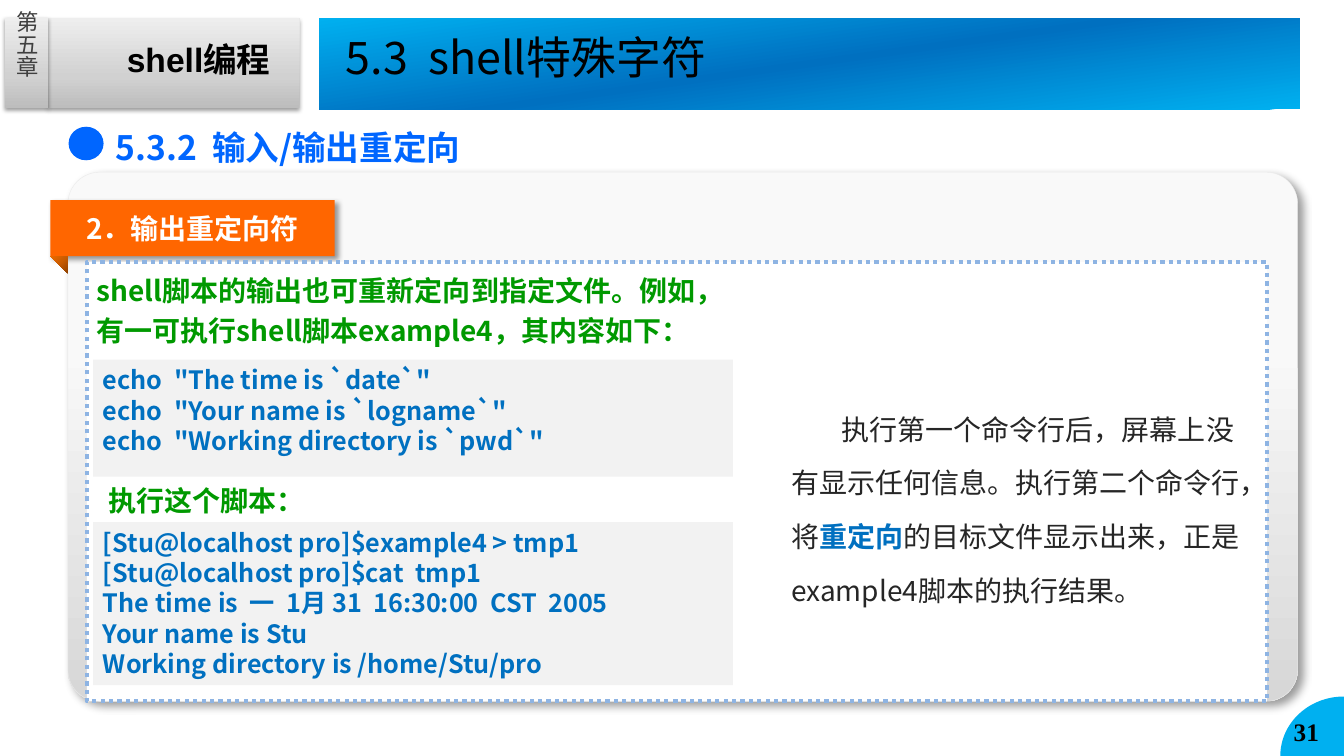
from math import cos, sin, pi
from lxml import etree
from pptx import Presentation
from pptx.util import Pt
from pptx.dml.color import RGBColor
from pptx.enum.dml import MSO_LINE
from pptx.enum.shapes import MSO_SHAPE
from pptx.enum.text import MSO_ANCHOR, PP_ALIGN
from pptx.oxml.ns import qn

RECT, ROUND, OVAL, FOLD = (MSO_SHAPE.RECTANGLE, MSO_SHAPE.ROUNDED_RECTANGLE,
                           MSO_SHAPE.OVAL, MSO_SHAPE.RIGHT_TRIANGLE)
TOP, MID = MSO_ANCHOR.TOP, MSO_ANCHOR.MIDDLE
LEFT, MIDDLE = PP_ALIGN.LEFT, PP_ALIGN.CENTER
DOTS = MSO_LINE.ROUND_DOT

# Content: a text is a list of paragraphs, a paragraph a list of (style, words)
CHAPTER = [[("tab", "第五章")]]
COURSE = [[("course", "shell编程")]]
TITLE = [[("title", "5.3  shell特殊字符")]]
SECTION = [[("section", "5.3.2  输入/输出重定向")]]
RIBBON = [[("ribbon", "2．输出重定向符")]]
INTRO = [[("lead", "shell脚本的输出也可重新定向到指定文件。例如，"
                   "有一可执行shell脚本example4，其内容如下：")]]
SCRIPT = [[("code", line)] for line in (
    'echo  "The time is `date`"',
    'echo  "Your name is `logname`"',
    'echo  "Working directory is `pwd`"')]
RUN = [[("lead", "执行这个脚本：")]]
OUTPUT = [[("code", line)] for line in (
    "[Stu@localhost pro]$example4 > tmp1",
    "[Stu@localhost pro]$cat  tmp1",
    "The time is  一  1月 31  16:30:00  CST  2005",
    "Your name is Stu",
    "Working directory is /home/Stu/pro")]
NOTE = [[("note", "执行第一个命令行后，屏幕上没有显示任何信息。执行第二个命令行，将"),
         ("key", "重定向"),
         ("note", "的目标文件显示出来，正是example4脚本的执行结果。")]]
PAGE = [[("page", "31")]]

# Theme: type styles are (size, colour, bold, font)
SANS, ARIAL, TIMES = "Noto Sans CJK SC", "Arial", "Times New Roman"
THEME = {
    "tab": (16, "404040", False, SANS),
    "course": (24, "000000", True, ARIAL),
    "title": (32, "000000", False, SANS),
    "section": (24, "0066FF", True, SANS),
    "ribbon": (20, "FFFFFF", True, SANS),
    "lead": (20, "009900", True, SANS),
    "code": (18, "0070C0", True, SANS),
    "note": (20, "262626", False, SANS),
    "key": (20, "0070C0", True, SANS),
    "page": (18, "000000", True, TIMES),
    "dot": "0066FF", "orange": "FF6600", "white": "FFFFFF",
    "panel": "F2F2F2", "corner": "00B0F0",
    "edge": "EAEAEA", "frame": "8EB4E3",
    # Gradients: angle, stops
    "metal": (270, [(0, "BDBDBD"), (35, "D1D1D1"), (100, "EEEEEE")]),
    "banner": (262, [(0, "00B0F0"), (50, "0070C0"), (100, "00B0F0")]),
    "card": (90, [(33, "F9F9F9"), (100, "D7D7D7")]),
    "fold": (45, [(0, "8D4000"), (50, "C85B00"), (100, "EE6B00")]),
}
# Shadows: opacity, blur, distance, direction
LOW, DEEP, SOFT = (38, 3.1, 1.6, 90), (40, 6, 5, 45), (40, 4, 3, 45)
WIDE, HIGH = 960, 540

deck = Presentation()
deck.slide_width, deck.slide_height = Pt(WIDE), Pt(HIGH)
slide = deck.slides.add_slide(deck.slide_layouts[5])
shapes = slide.shapes


def node(root, tag, **attrs):
    return etree.SubElement(root, qn("a:" + tag), {k: str(v) for k, v in attrs.items()})


def paint(shape, color):
    """Fill with a flat colour or a gradient, without a line."""
    shape.shadow.inherit = False
    shape.line.fill.background()
    if isinstance(color, str):
        shape.fill.solid()
        shape.fill.fore_color.rgb = RGBColor.from_string(color)
        return
    angle, stops = color
    shape.fill.gradient()
    grad = shape._element.spPr.find(qn("a:gradFill"))
    for kid in list(grad):
        grad.remove(kid)
    row = node(grad, "gsLst")
    for pos, tone in stops:
        node(node(row, "gs", pos=pos * 1000), "srgbClr", val=tone)
    node(grad, "lin", ang=angle * 60000, scaled=0)


def shade(shape, spec):
    alpha, blur, dist, angle = spec
    root = shape._element.spPr.find(qn("a:effectLst"))
    cast = node(root, "outerShdw", blurRad=Pt(blur), dist=Pt(dist),
                dir=angle * 60000, algn="t", rotWithShape=0)
    node(node(cast, "srgbClr", val="000000"), "alpha", val=alpha * 1000)


def block(box, color, kind=RECT, cast=None):
    shape = shapes.add_shape(kind, *map(Pt, box))
    paint(shape, color)
    if cast:
        shade(shape, cast)
    return shape


def border(shape, color, width):
    shape.line.color.rgb = RGBColor.from_string(color)
    shape.line.width = Pt(width)


def write(shape, text, lead=None, after=0, indent=0, align=LEFT, anchor=TOP, inset=None):
    """Set paragraphs run by run; lead is a multiple of the 1.2 em line."""
    frame = shape.text_frame
    frame.word_wrap = True
    frame.vertical_anchor = anchor
    if inset is not None:
        frame.margin_left = frame.margin_right = Pt(inset)
        frame.margin_top = frame.margin_bottom = Pt(inset)
    for i, runs in enumerate(text):
        para = frame.add_paragraph() if i else frame.paragraphs[0]
        para.alignment = align
        para.space_before, para.space_after = Pt(0), Pt(after)
        if lead:
            para.line_spacing = Pt(round(THEME[runs[0][0]][0] * 1.2 * lead, 1))
        if indent:
            para._p.get_or_add_pPr().set("indent", str(Pt(indent)))
        for style, words in runs:
            size, color, bold, face = THEME[style]
            run = para.add_run()
            run.text = words
            font = run.font
            font.size, font.bold, font.name = Pt(size), bold, face
            font.color.rgb = RGBColor.from_string(color)
            node(run._r.get_or_add_rPr(), "ea", typeface=SANS)


def label(box, text, **look):
    shape = shapes.add_textbox(*map(Pt, box))
    write(shape, text, **look)
    return shape


# Header: chapter tab, course name, title banner
block((34.5, 13, 179.5, 64), THEME["metal"], cast=LOW)
label((83.5, 24.5, 145, 38), COURSE)
block((3.5, 12.5, 31, 64.5), THEME["metal"], cast=LOW)
tab = label((8.5, 8, 21, 75.5), CHAPTER, align=MIDDLE, anchor=MID, inset=0)
tab.text_frame._txBody.bodyPr.set("vert", "eaVert")
block((228, 13, 700.5, 65), THEME["banner"])
title = shapes.title
title.left, title.top, title.width, title.height = map(Pt, (247, 21, 319, 49.5))
write(title, TITLE, lead=1, inset=0)
shapes._spTree.append(title._element)  # bring the title above its banner

# Page corner: a quarter ellipse around the slide's corner
arc = [(WIDE - 45.5 * cos(i * pi / 60), HIGH - 42.5 * sin(i * pi / 60))
       for i in range(31)]
path = shapes.build_freeform(Pt(WIDE), Pt(HIGH))
path.add_line_segments([(Pt(x), Pt(y)) for x, y in arc])
paint(path.convert_to_shape(), THEME["corner"])
label((917, 508, 43, 29), PAGE)

# Card and section heading
card = block((48.5, 123, 878.5, 378), THEME["card"], ROUND, DEEP)
card.adjustments[0] = 0.06
border(card, THEME["edge"], 0.25)
label((75.5, 81.5, 319, 42), SECTION, lead=1.2, after=5)
block((49, 90.5, 25, 24), THEME["dot"], OVAL)

# Ribbon with its folded end
ribbon = block((36, 143, 203, 40), THEME["orange"], cast=SOFT)
write(ribbon, RIBBON, align=MIDDLE, anchor=MID)
block((36, 183, 12.5, 12.5), THEME["fold"], FOLD).rotation = 180

# Framed area: script and its output on the left, note on the right
frame = block((62, 187, 843, 314), THEME["white"])
border(frame, THEME["frame"], 3)
frame.line.dash_style = DOTS
label((62, 187, 478, 65), INTRO, lead=1.2, after=5)
for top, tall, lines in ((257, 83.5, SCRIPT), (373, 116.5, OUTPUT)):
    write(block((66.5, top, 457, tall), THEME["panel"]), lines, lead=1)
label((70.5, 337, 453, 36), RUN, lead=1.2, after=5)
label((558, 276.5, 343.5, 160.5), NOTE, lead=1.6, indent=36)

deck.save("out.pptx")
